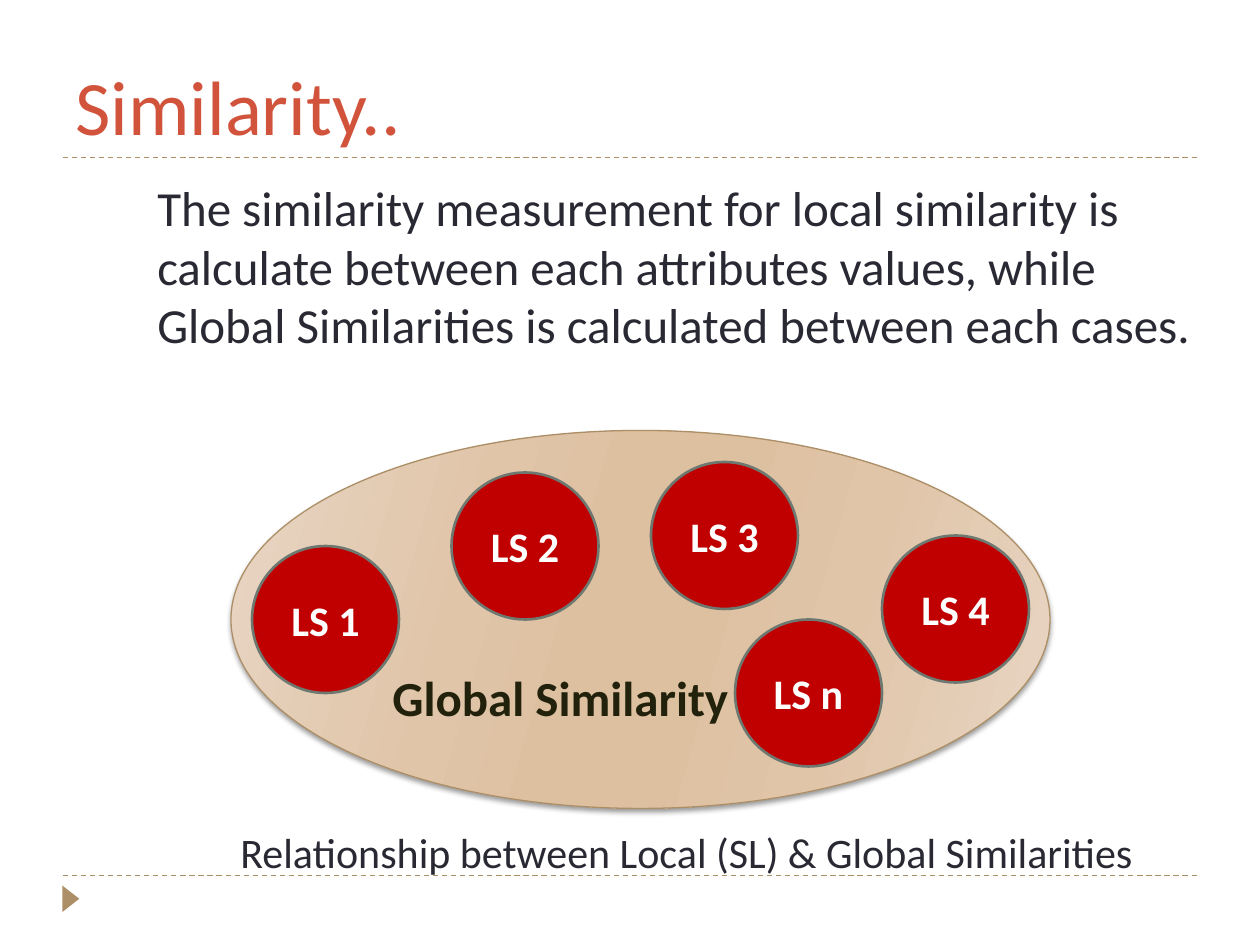
from dataclasses import dataclass

from lxml import etree
from pptx import Presentation
from pptx import util as u
from pptx.dml.color import RGBColor
from pptx.enum import dml, shapes, text
from pptx.oxml import ns


@dataclass(frozen=True)
class Theme:
    font: str = "Calibri"
    accent: str = "AD8F67"
    title: str = "D2533C"
    body: str = "292934"
    label: str = "22210C"
    local: str = "C00000"
    outline: str = "6D7871"
    white: str = "FFFFFF"
    title_size: int = 44
    body_size: int = 28
    small_size: int = 24
    gradient: tuple = ((0, "E8D6C4"), (30, "E0C5A9"), (45, "DDC0A0"),
                       (55, "DDC0A0"), (73, "E0C5A9"), (100, "E8D6C4"))


THEME = Theme()
CELL = u.Inches(1) // 12  # the page is a grid of 120 columns and 90 rows


def cells(*counts):
    return [round(count * CELL) for count in counts]


def add_xml(parent, tag, **attributes):
    return etree.SubElement(parent, ns.qn(tag), attributes)


def write(shape, words, size, colour, bold=False, align=text.PP_ALIGN.LEFT,
          **frame_format):
    frame = shape.text_frame
    for name, value in {"word_wrap": True, **frame_format}.items():
        setattr(frame, name, value)
    para = frame.paragraphs[0]
    para.alignment = align
    span = para.add_run()
    span.text = words
    font_format = {"name": THEME.font, "size": u.Pt(size), "bold": bold}
    for name, value in font_format.items():
        setattr(span.font, name, value)
    span.font.color.rgb = RGBColor.from_string(colour)


def add_text(page, box, words, size, colour, **options):
    write(page.shapes.add_textbox(*cells(*box)), words, size, colour, **options)


def add_solid(page, kind, box, fill, line=None, width=0):
    shape = page.shapes.add_shape(kind, *cells(*box))
    shape.shadow.inherit = False
    shape.fill.solid()
    shape.fill.fore_color.rgb = RGBColor.from_string(fill)
    if line:
        shape.line.color.rgb = RGBColor.from_string(line)
        shape.line.width = u.Pt(width)
    else:
        shape.line.fill.background()
    return shape


def shade(shape):
    """Give a shape the banded gradient and a soft shadow below."""
    shape.fill.gradient()
    shape.fill.gradient_angle = 360 - 16
    stops = shape.element.spPr.find(".//" + ns.qn("a:gsLst"))
    for stop in list(stops):
        stops.remove(stop)
    for share, colour in THEME.gradient:
        stop = add_xml(stops, "a:gs", pos=str(share * 1000))
        add_xml(stop, "a:srgbClr", val=colour)
    effects = shape.element.spPr.find(ns.qn("a:effectLst"))
    shadow = add_xml(effects, "a:outerShdw", blurRad=str(u.Pt(3)),
                     dist=str(u.Pt(2)), dir="5400000", rotWithShape="0")
    add_xml(add_xml(shadow, "a:srgbClr", val="000000"), "a:alpha", val="40000")


def frame_page(page, box):
    """Dashed rules at the top and bottom of the content, and a page marker."""
    left, top, width, height = box
    for row in (top + height, top):
        rule = page.shapes.add_connector(
            shapes.MSO_CONNECTOR.STRAIGHT, *cells(left, row, left + width, row))
        rule.line.color.rgb = RGBColor.from_string(THEME.accent)
        rule.line.width = u.Pt(0.75)
        rule.line.dash_style = dml.MSO_LINE.DASH
        add_xml(rule.element.spPr, "a:effectLst")
    marker = add_solid(page, shapes.MSO_SHAPE.ISOSCELES_TRIANGLE,
                       (left - 0.5, top + height + 1.4, 2.5, 1.6), THEME.accent)
    marker.rotation = 90


def global_similarity(page, box):
    """The large ellipse holding one circle per local similarity."""
    left, top = box[:2]
    ellipse = add_solid(page, shapes.MSO_SHAPE.OVAL, box, THEME.white,
                        THEME.accent, 0.75)
    shade(ellipse)
    write(ellipse, "Global Similarity", THEME.body_size, THEME.label, bold=True,
          vertical_anchor=text.MSO_ANCHOR.BOTTOM,
          margin_left=u.Inches(0.33), margin_bottom=u.Inches(0.21))
    circles = {"LS 1": (2, 11), "LS 2": (21, 4), "LS 3": (40, 3),
               "LS 4": (62, 10), "LS n": (48, 18)}
    for name, (column, row) in circles.items():
        circle = add_solid(page, shapes.MSO_SHAPE.OVAL,
                           (left + column, top + row, 14, 14),
                           THEME.local, THEME.outline, 1.5)
        write(circle, name, THEME.small_size, THEME.white, bold=True,
              align=text.PP_ALIGN.CENTER,
              vertical_anchor=text.MSO_ANCHOR.MIDDLE)


def main():
    deck = Presentation()
    deck.slide_width, deck.slide_height = cells(120, 90)
    page = deck.slides.add_slide(deck.slide_layouts[6])

    frame_page(page, (6, 15, 108, 68.4))
    # Heading and explanation
    add_text(page, (6, 2, 108, 13), "Similarity..", THEME.title_size,
             THEME.title, vertical_anchor=text.MSO_ANCHOR.BOTTOM)
    add_text(page, (13.8, 16.3, 103.2, 19),
             "The similarity measurement for local similarity is calculate "
             "between each attributes values, while Global Similarities is "
             "calculated between each cases.", THEME.body_size, THEME.body)
    # Diagram and caption
    global_similarity(page, (22, 41, 78, 36))
    add_text(page, (13.8, 78, 103.2, 6.2),
             "Relationship between Local (SL) & Global Similarities",
             THEME.small_size, THEME.body, align=text.PP_ALIGN.CENTER,
             vertical_anchor=text.MSO_ANCHOR.MIDDLE)

    deck.save("out.pptx")


main()
